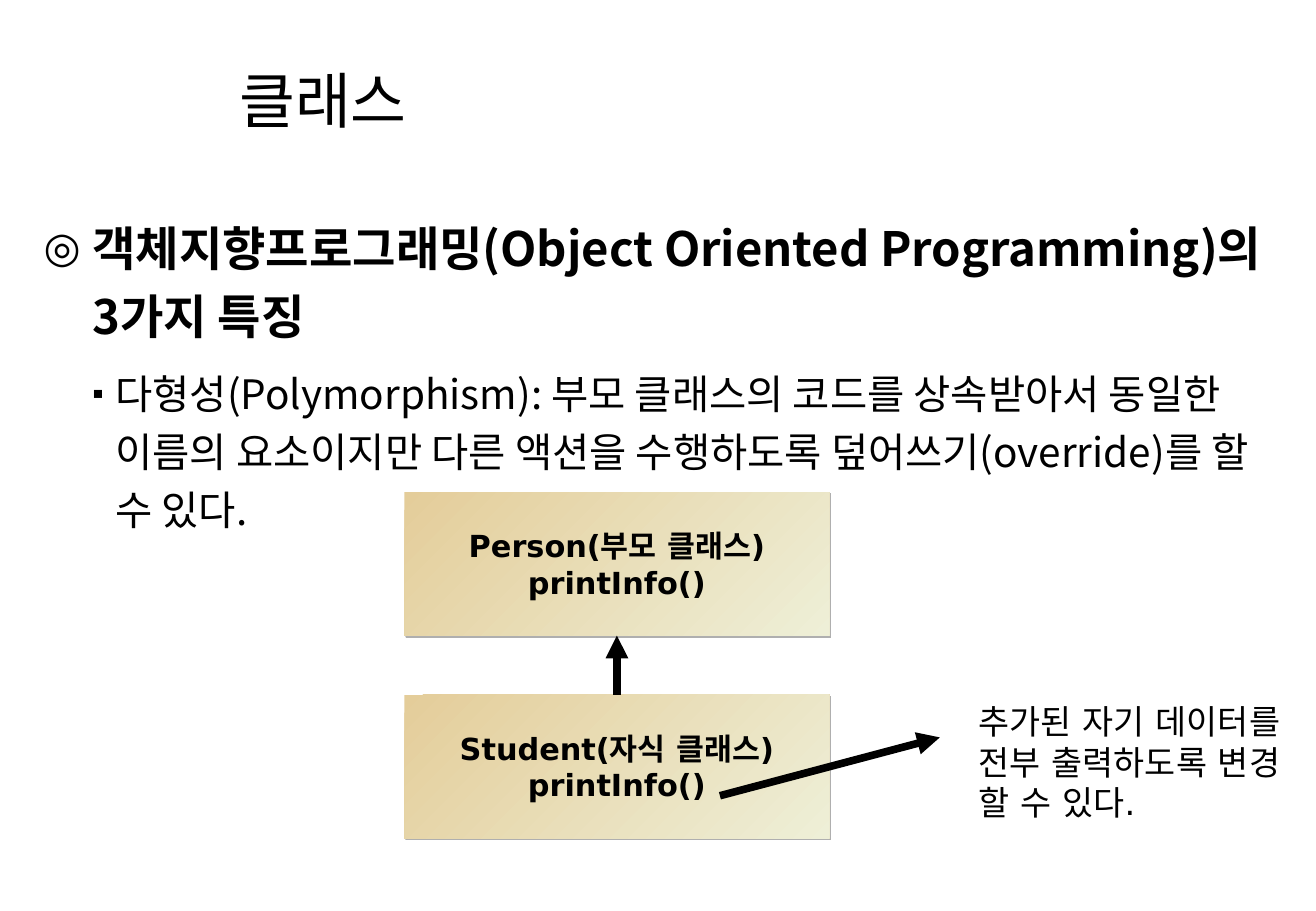
import pptx
import pptx.dml.color
import pptx.enum.dml
import pptx.enum.shapes
import pptx.enum.text
import pptx.oxml
import pptx.oxml.ns
import pptx.util

Cm = pptx.util.Cm
Pt = pptx.util.Pt
ALIGN = pptx.enum.text.PP_ALIGN
ANCHOR = pptx.enum.text.MSO_ANCHOR
FIT = pptx.enum.text.MSO_AUTO_SIZE


def color(value):
    return pptx.dml.color.RGBColor.from_string(value)


def add_xml(parent, markup):
    head, tail = markup.split(">", 1)
    namespace = pptx.oxml.ns.nsdecls("a")
    if head.endswith("/"):
        head = f"{head[:-1]} {namespace}/"
    else:
        head = f"{head} {namespace}"
    parent.append(pptx.oxml.parse_xml(f"{head}>{tail}"))


def write(paragraph, text, font="Noto Sans CJK KR", size=18, bold=False,
          ink="000000", align=ALIGN.LEFT, spacing=1.0, before=0):
    paragraph.alignment = align
    paragraph.line_spacing = spacing
    paragraph.space_before = Pt(before)
    paragraph.space_after = Pt(0)
    run = paragraph.add_run()
    run.text = text
    run.font.name = font
    run.font.size = Pt(size)
    run.font.bold = bold
    run.font.color.rgb = color(ink)
    add_xml(run.font._element, f'<a:ea typeface="{font}"/>')


class ClassSlide:
    """Hold the style and the current slide, and add each kind of element."""

    heading_font = "Noto Sans CJK KR"
    diagram_font = "DejaVu Sans"
    ink = "000000"
    gradient = ("E4CD9A", "EEEFD7")
    shadow = "AFAFAF"
    line_width = 4.5

    def __init__(self, presentation):
        self.slide = presentation.slides.add_slide(presentation.slide_layouts[1])

    def place(self, shape, left, top, width, height):
        shape.left, shape.top = Cm(left), Cm(top)
        shape.width, shape.height = Cm(width), Cm(height)
        frame = shape.text_frame
        frame.word_wrap = True
        frame.auto_size = FIT.NONE
        frame.vertical_anchor = ANCHOR.TOP
        return frame

    def title(self, text, *area):
        frame = self.place(self.slide.shapes.title, *area)
        write(frame.paragraphs[0], text, font=self.heading_font, size=36,
              ink=self.ink, spacing=0.85)

    def body(self, items, *area):
        frame = self.place(self.slide.placeholders[1], *area)
        for index, item in enumerate(items):
            paragraph = frame.add_paragraph() if index else frame.paragraphs[0]
            paragraph.level = index
            properties = paragraph._p.get_or_add_pPr()
            properties.set("marL", str(Cm(item["margin"])))
            properties.set("indent", str(-Cm(item["hanging"])))
            add_xml(properties, f'<a:buClr><a:srgbClr val="{self.ink}"/></a:buClr>')
            add_xml(properties, f'<a:buSzPct val="{item["scale"]}000"/>')
            add_xml(properties, f'<a:buChar char="{item["bullet"]}"/>')
            write(paragraph, item["text"], font=self.heading_font, ink=self.ink,
                  spacing=1.2, **item["format"])

    def lines(self, frame, texts, **style):
        for index, text in enumerate(texts):
            paragraph = frame.add_paragraph() if index else frame.paragraphs[0]
            write(paragraph, text, font=self.diagram_font, ink=self.ink, **style)

    def class_box(self, texts, left, top, width, height):
        shape = self.slide.shapes.add_shape(
            pptx.enum.shapes.MSO_SHAPE.RECTANGLE,
            Cm(left), Cm(top), Cm(width), Cm(height))
        shape.fill.gradient()
        shape.fill.gradient_angle = 315
        for stop, value in zip(shape.fill.gradient_stops, self.gradient):
            stop.color.rgb = color(value)
        shape.line.fill.background()
        add_xml(shape._element.spPr,
                '<a:effectLst><a:outerShdw dist="17780" dir="2700000" algn="ctr" '
                f'rotWithShape="0"><a:srgbClr val="{self.shadow}"/>'
                '</a:outerShdw></a:effectLst>')
        frame = shape.text_frame
        frame.word_wrap = True
        frame.vertical_anchor = ANCHOR.MIDDLE
        frame.margin_left = frame.margin_right = Cm(0.5)
        self.lines(frame, texts, size=18, bold=True, align=ALIGN.CENTER)

    def arrow(self, start, end):
        connector = self.slide.shapes.add_connector(
            pptx.enum.shapes.MSO_CONNECTOR.STRAIGHT,
            *(Cm(value) for value in (*start, *end)))
        connector.line.color.rgb = color(self.ink)
        connector.line.width = Pt(self.line_width)
        add_xml(connector.line._get_or_add_ln(), '<a:tailEnd type="triangle"/>')
        add_xml(connector._element.spPr, "<a:effectLst/>")

    def note(self, texts, left, top, width, height):
        shape = self.slide.shapes.add_textbox(
            Cm(left), Cm(top), Cm(width), Cm(height))
        frame = shape.text_frame
        frame.word_wrap = False
        frame.auto_size = FIT.SHAPE_TO_FIT_TEXT
        self.lines(frame, texts, size=20)


def main():
    presentation = pptx.Presentation()
    presentation.slide_width = Cm(27.53)
    presentation.slide_height = Cm(19.05)
    page = ClassSlide(presentation)

    page.title("클래스", 4.75, 1.42, 18.8, 1.55)
    page.body([
        {"text": "객체지향프로그래밍(Object Oriented Programming)의 3가지 특징",
         "bullet": "◎", "scale": 90, "margin": 1.02, "hanging": 1.02,
         "format": {"size": 28, "bold": True}},
        {"text": "다형성(Polymorphism): 부모 클래스의 코드를 상속받아서 동일한 "
                 "이름의 요소이지만 다른 액션을 수행하도록 덮어쓰기(override)를 "
                 "할 수 있다.",
         "bullet": "▪", "scale": 80, "margin": 1.5, "hanging": 0.48,
         "format": {"size": 24, "before": 9}},
    ], 0.66, 4.22, 26.01, 7.14)

    box_left, box_width, box_height = 8.46, 8.89, 3
    parent_top, child_top = 10.29, 14.53
    middle = box_left + box_width / 2
    page.class_box(["Person(부모 클래스) printInfo()"],
                   box_left, parent_top, box_width, box_height)
    page.class_box(["Student(자식 클래스)", "printInfo()"],
                   box_left, child_top, box_width, box_height)
    page.arrow((middle, child_top), (middle, parent_top + box_height))
    page.arrow((15.06, 16.64), (19.66, 15.42))
    page.note(["추가된 자기 데이터를", "전부 출력하도록 변경", "할 수 있다."],
              20.22, child_top, 6.96, 2.79)

    presentation.save("out.pptx")


if __name__ == "__main__":
    main()
